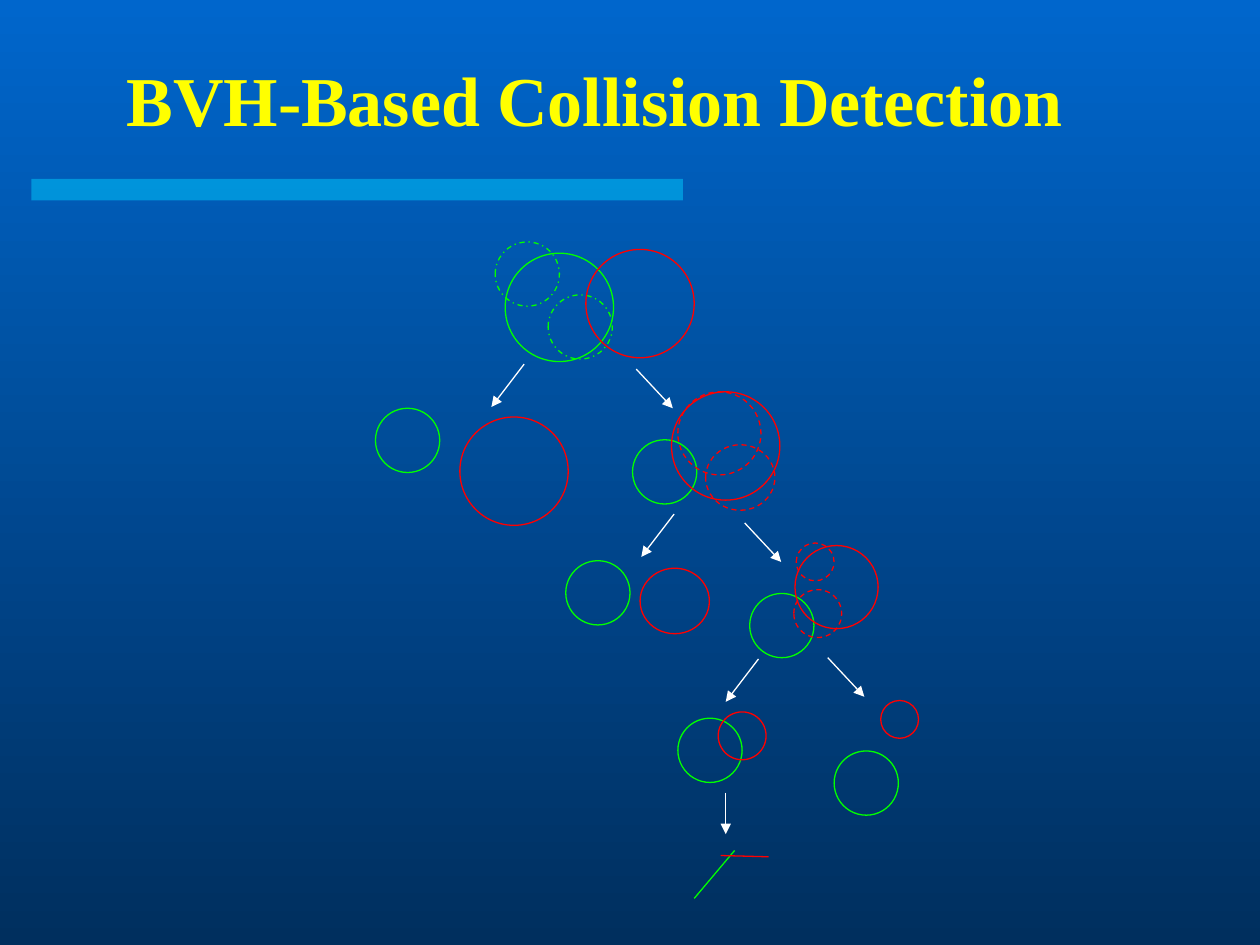
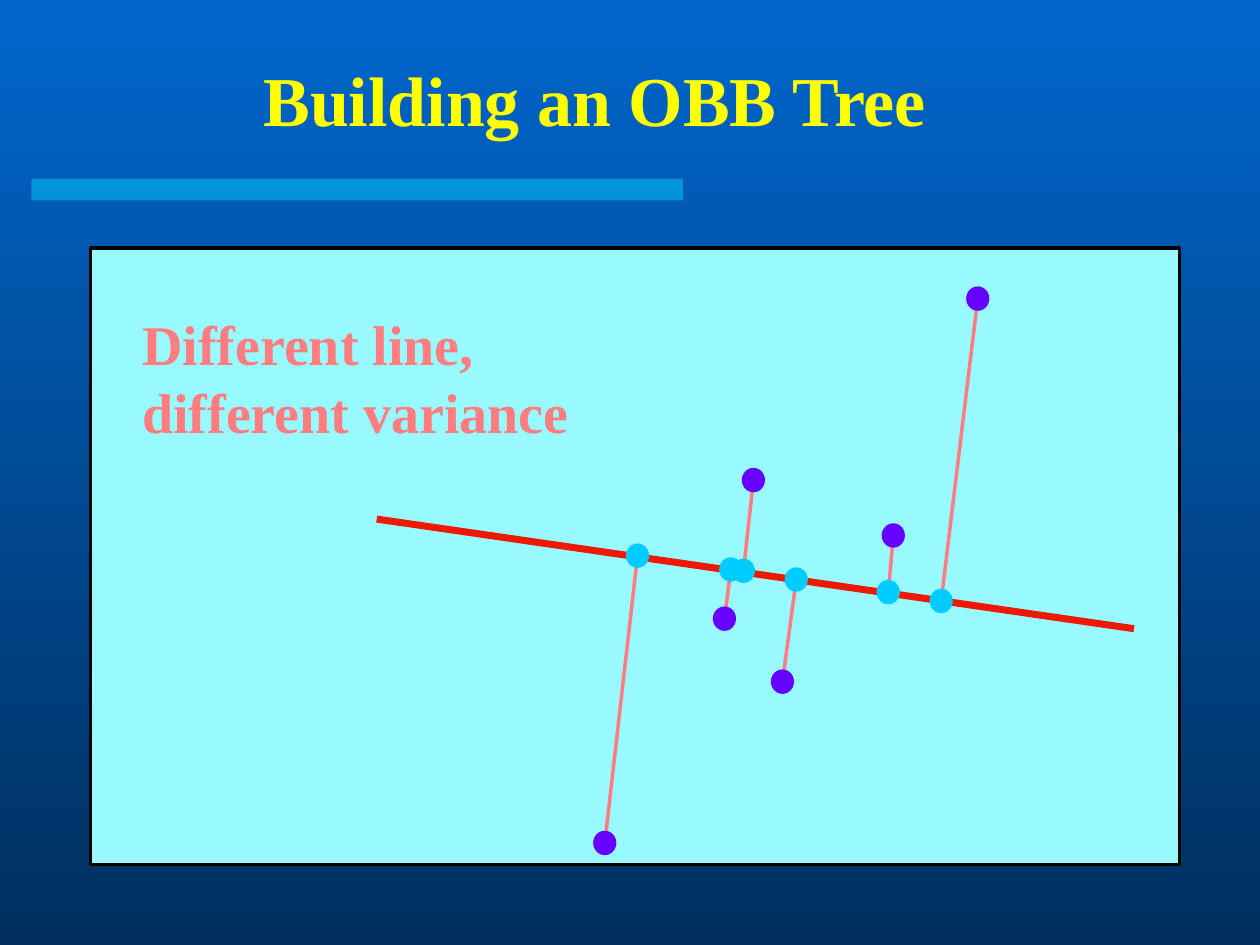
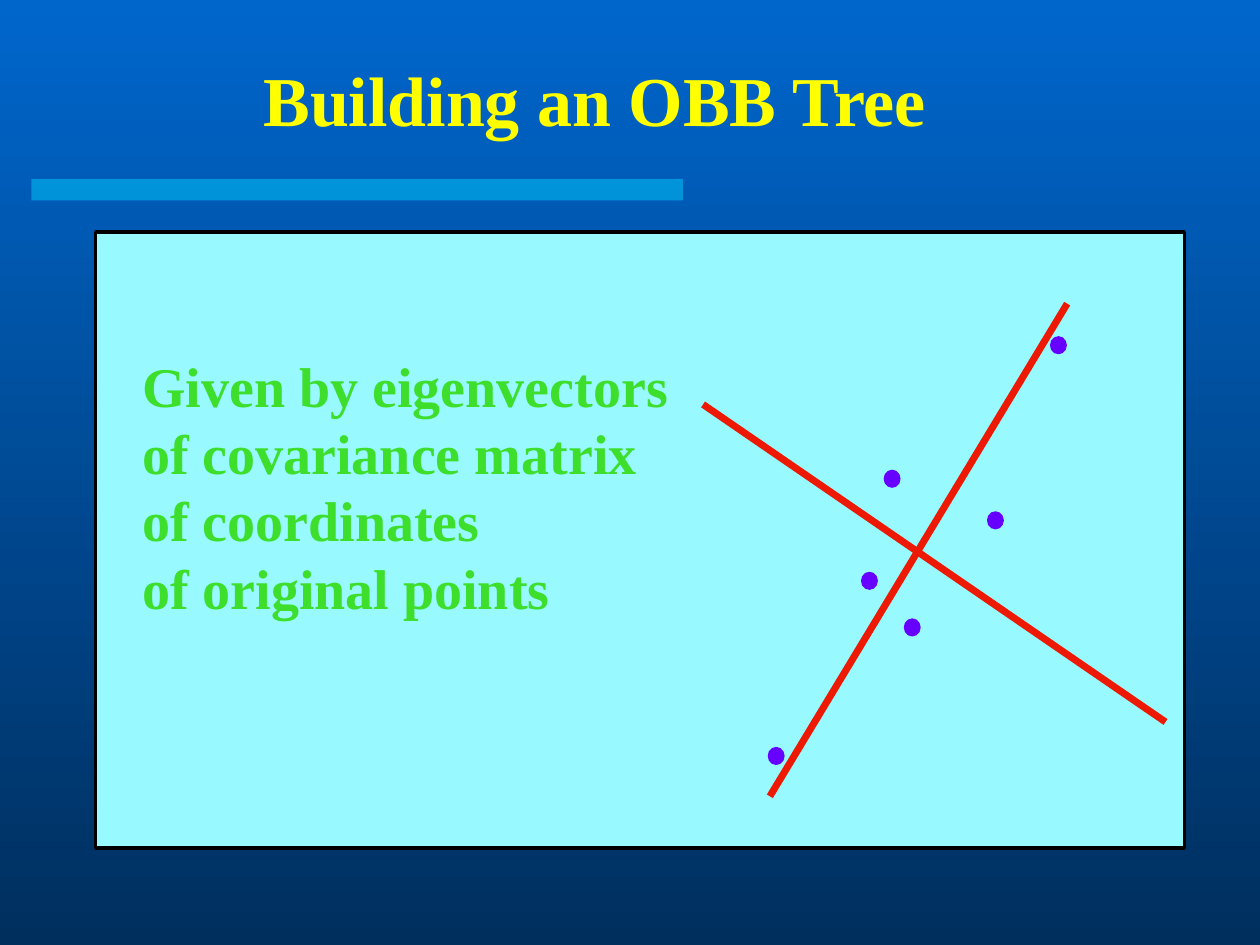
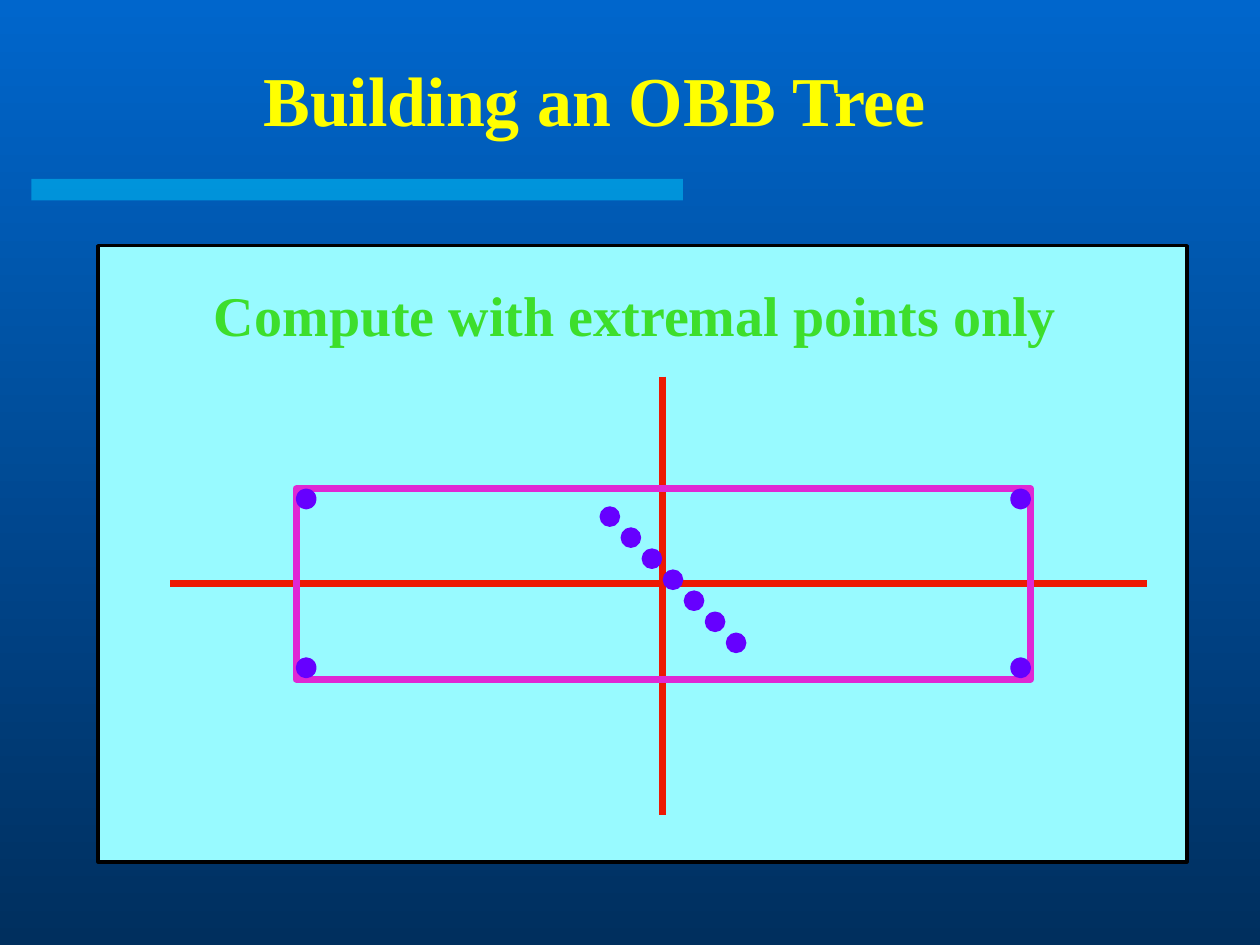
"""Build four slides on bounding-volume collision tests and OBB trees."""
from lxml.etree import SubElement
from pptx import Presentation
from pptx.dml.color import RGBColor
from pptx.enum.dml import MSO_LINE
from pptx.enum.shapes import MSO_CONNECTOR, MSO_SHAPE
from pptx.enum.text import MSO_ANCHOR, MSO_AUTO_SIZE, PP_ALIGN
from pptx.oxml.ns import qn
from pptx.util import Inches, Pt

SKY = RGBColor(0x00, 0x66, 0xCC)
NAVY = RGBColor(0x00, 0x2F, 0x5E)
CYAN = RGBColor(0x00, 0xCC, 0xFF)
PALE = RGBColor(0x98, 0xFA, 0xFF)
YELLOW = RGBColor(0xFF, 0xFF, 0x00)
WHITE = RGBColor(0xFF, 0xFF, 0xFF)
BLACK = RGBColor(0x00, 0x00, 0x00)
RED = RGBColor(0xFF, 0x00, 0x00)
GREEN = RGBColor(0x00, 0xFF, 0x00)
SALMON = RGBColor(0xFF, 0x7C, 0x80)
LEAF = RGBColor(0x3D, 0xDE, 0x2C)
VIOLET = RGBColor(0x66, 0x00, 0xFF)
SCARLET = RGBColor(0xED, 0x19, 0x03)
MAGENTA = RGBColor(0xDF, 0x27, 0xD4)

FONT = "Times New Roman"
COLS, ROWS = 100, 75


class Deck:
    """Hold the shared style and draw on the current slide in grid units."""

    def __init__(self):
        self.prs = Presentation()
        self.prs.slide_width, self.prs.slide_height = Inches(10), Inches(7.5)
        fill = self.prs.slide_master.background.fill
        fill.gradient()
        fill.gradient_angle = 270
        for stop, color in zip(fill.gradient_stops, (SKY, NAVY)):
            stop.color.rgb = color

    def grid(self, *values):
        steps = (self.prs.slide_width / COLS, self.prs.slide_height / ROWS)
        return [round(v * steps[i % 2]) for i, v in enumerate(values)]

    def slide(self, title):
        self.s = self.prs.slides.add_slide(self.prs.slide_layouts[6])
        band = self.shape(MSO_SHAPE.RECTANGLE, 2.5, 14.2, 51.7, 1.7, fill=CYAN)
        color = band._element.spPr.find(".//" + qn("a:srgbClr"))
        SubElement(color, qn("a:alpha"), val="50000")
        tf = self.text([title], 2.9, 3.2, 88.6, 9.3, 40, YELLOW, PP_ALIGN.CENTER)
        tf.word_wrap = True
        tf.auto_size = MSO_AUTO_SIZE.NONE
        tf.vertical_anchor = MSO_ANCHOR.MIDDLE

    def text(self, lines, x, y, w, h, size, color, align=PP_ALIGN.LEFT):
        tf = self.s.shapes.add_textbox(*self.grid(x, y, w, h)).text_frame
        tf.word_wrap = False
        tf.auto_size = MSO_AUTO_SIZE.SHAPE_TO_FIT_TEXT
        tf.text = "\n".join(lines)
        for p in tf.paragraphs:
            p.alignment = align
            p.font.name, p.font.size, p.font.bold = FONT, Pt(size), True
            p.font.color.rgb = color
        return tf

    def shape(self, kind, x, y, w, h, fill=None, line=None, width=1, dash=None):
        sp = self.s.shapes.add_shape(kind, *self.grid(x, y, w, h))
        sp.shadow.inherit = False
        if fill is None:
            sp.fill.background()
        else:
            sp.fill.solid()
            sp.fill.fore_color.rgb = fill
        if line is None:
            sp.line.fill.background()
        else:
            sp.line.color.rgb = line
            sp.line.width = Pt(width)
            if dash is not None:
                sp.line.dash_style = dash
        return sp

    def panel(self, x, y):
        self.shape(MSO_SHAPE.RECTANGLE, x, y, 86.4, 48.9, PALE, BLACK, 2)

    def circle(self, color, x, y, w, h=None, dash=None):
        self.shape(MSO_SHAPE.OVAL, x, y, w, h or w, None, color, 0.75, dash)

    def dots(self, centres, w, h, color=VIOLET, width=1):
        for x, y in centres:
            self.shape(MSO_SHAPE.OVAL, x - w / 2, y - h / 2, w, h, color, color, width)

    def line(self, start, end, color, width, arrow=False):
        c = self.s.shapes.add_connector(MSO_CONNECTOR.STRAIGHT, *self.grid(*start, *end))
        c.line.color.rgb = color
        c.line.width = Pt(width)
        if arrow:
            SubElement(c.line._get_or_add_ln(), qn("a:tailEnd"), type="triangle")
        SubElement(c._element.spPr, qn("a:effectLst"))


def collision_slide(deck):
    deck.slide("BVH-Based Collision Detection")
    for x, y in ((40.1, 20.1),):
        deck.circle(GREEN, x, y, 8.6)
    for x, y in ((29.8, 32.4), (50.2, 34.9), (44.9, 44.5), (59.5, 47.1),
                 (53.8, 57), (66.2, 59.6)):
        deck.circle(GREEN, x, y, 5.1)
    for x, y in ((39.3, 19.2), (43.5, 23.4)):
        deck.circle(GREEN, x, y, 5.1, dash=MSO_LINE.DASH_DOT)
    for x, y, size in ((46.5, 19.8, 8.6), (36.5, 33.1, 8.6), (53.3, 31.1, 8.6),
                       (63.1, 43.3, 6.6), (57, 56.5, 3.8), (69.9, 55.6, 3)):
        deck.circle(RED, x, y, size)
    deck.circle(RED, 50.8, 45.1, 5.5, 5.2)
    for x, y, w, h in ((53.8, 31.1, 6.6, 6.6), (56, 35.3, 5.5, 5.2),
                       (63.2, 43.1, 3, 3), (63, 46.8, 3.8, 3.8)):
        deck.circle(RED, x, y, w, h, MSO_LINE.DASH)
    deck.line((55.1, 71.3), (58.3, 67.5), GREEN, 0.75)
    deck.line((57.2, 67.9), (61, 68), RED, 0.75)
    branches = (
        ((-2.6, 3.4), ((41.6, 28.9), (53.5, 40.8), (60.2, 52.3))),
        ((2.9, 3.1), ((50.5, 29.3), (59.1, 41.5), (65.7, 52.2))),
        ((0, 3.3), ((57.6, 62.9),)),
    )
    for (dx, dy), starts in branches:
        for x, y in starts:
            deck.line((x, y), (x + dx, y + dy), WHITE, 0.75, arrow=True)


def variance_slide(deck):
    deck.slide("Building an OBB Tree")
    deck.panel(7.2, 19.7)
    deck.text(["Different line,", "different variance"], 10.3, 24.1, 36, 11.7, 32, SALMON)
    points = ((77.6, 23.7), (59.8, 38.1), (70.9, 42.5), (57.5, 49.1), (62.1, 54.1), (48, 66.9))
    feet = ((74.7, 47.7), (59, 45.3), (70.5, 47), (58, 45.2), (63.2, 46), (50.6, 44.1))
    for point, foot in zip(points, feet):
        deck.line(point, foot, SALMON, 2)
    deck.dots(points, 1.7, 1.8)
    deck.line((29.9, 41.2), (90, 49.9), SCARLET, 4)
    deck.dots(feet, 1.7, 1.8, CYAN)


def eigenvector_slide(deck):
    deck.slide("Building an OBB Tree")
    deck.panel(7.6, 18.4)
    deck.text(["Given by eigenvectors", "of covariance matrix", "of coordinates",
               "of original points"], 10.3, 27.4, 43.8, 22.4, 32, LEAF)
    deck.dots(((84, 27.4), (70.8, 38), (79, 41.3), (69, 46.1), (72.4, 49.8), (61.6, 60)),
              1.2, 1.3)
    deck.line((92.5, 57.3), (55.8, 32.1), SCARLET, 4)
    deck.line((84.7, 24.1), (61.1, 63.2), SCARLET, 4)


def extremal_slide(deck):
    deck.slide("Building an OBB Tree")
    deck.panel(7.8, 19.5)
    deck.text(["Compute with extremal points only"], 16, 21.8, 69, 6.3, 32, LEAF)
    deck.line((91, 46.3), (13.5, 46.3), SCARLET, 4)
    deck.line((52.6, 29.9), (52.6, 64.7), SCARLET, 4)
    deck.shape(MSO_SHAPE.RECTANGLE, 23.5, 38.8, 58.3, 15.1, None, MAGENTA, 4)
    deck.dots([(x, y) for x in (24.3, 81) for y in (39.6, 53)], 1.1, 1.1, width=4)
    deck.dots([(48.4 + 1.67 * i, 41 + 1.67 * i) for i in range(7)], 1.5, 1.5)


def main():
    deck = Deck()
    collision_slide(deck)
    variance_slide(deck)
    eigenvector_slide(deck)
    extremal_slide(deck)
    deck.prs.save("out.pptx")


if __name__ == "__main__":
    main()
